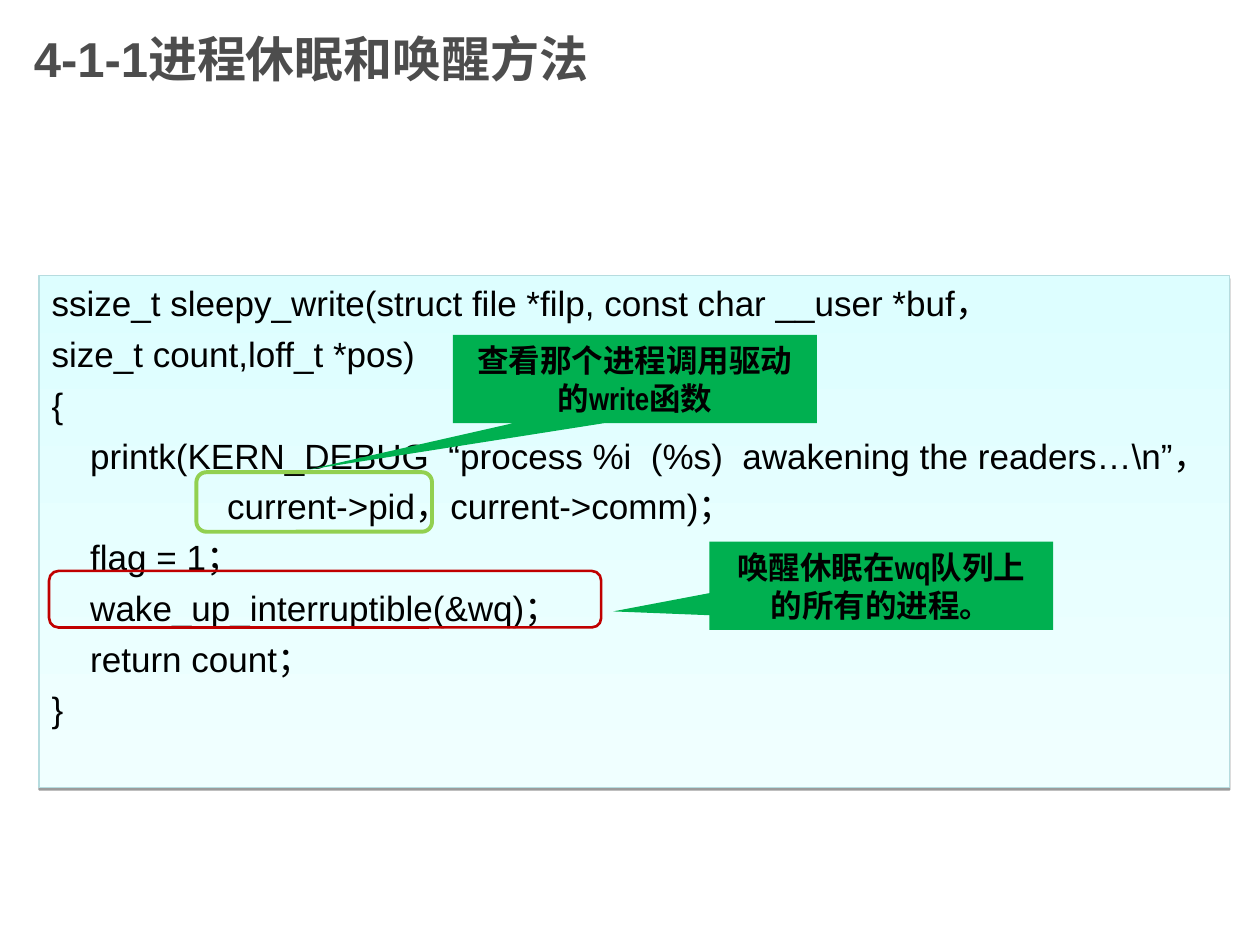
from lxml import etree
from pptx import Presentation
from pptx.dml.color import RGBColor
from pptx.enum.shapes import MSO_SHAPE
from pptx.enum.text import MSO_ANCHOR, PP_ALIGN
from pptx.oxml.ns import qn
from pptx.util import Cm, Pt

RECTANGLE = MSO_SHAPE.RECTANGLE
ROUNDED = MSO_SHAPE.ROUNDED_RECTANGLE
CALLOUT = MSO_SHAPE.RECTANGULAR_CALLOUT
LEFT, CENTER = PP_ALIGN.LEFT, PP_ALIGN.CENTER
TOP, MIDDLE = MSO_ANCHOR.TOP, MSO_ANCHOR.MIDDLE

COLORS = {
    "title": "4D4D4D", "text": "000000", "code_top": "DDFEFF",
    "code_bottom": "F0FFFF", "code_line": "B6DCDF", "callout": "00B050",
    "wake": "C00000", "pid": "92D050", "shadow": "000000",
}
TITLE = "4-1-1进程休眠和唤醒方法"
TITLE_PLACE = (0.43, 0, 19.05, 2.34)
CODE_PLACE = (0.79, 5.56, 24, 10.31)
BODY_INDENT, ARGUMENT_INDENT = 0.78, 3.54
CODE = [
    (0, "ssize_t sleepy_write(struct file *filp, const char __user *buf，"),
    (0, "size_t count,loff_t *pos)"),
    (0, "{"),
    (BODY_INDENT, "printk(KERN_DEBUG  “process %i  (%s)  awakening the readers…\\n”，"),
    (ARGUMENT_INDENT, "current->pid，current->comm)；"),
    (BODY_INDENT, "flag = 1；"),
    (BODY_INDENT, "wake_up_interruptible(&wq)；"),
    (BODY_INDENT, "return count；"),
    (0, "}"),
]
FRAMES = [
    ((0.99, 11.51, 11.13, 1.14), "wake", 1.5),
    ((3.96, 9.52, 4.75, 1.2), "pid", 2.25),
]
CALLOUTS = [
    ((9.13, 6.75, 7.34, 1.78), (-0.9, 1.03), "查看那个进程调用驱动的write函数"),
    ((14.3, 10.92, 6.93, 1.78), (-0.78, 0.29), "唤醒休眠在wq队列上的所有的进程。"),
]


def rgb(name):
    return RGBColor.from_string(COLORS[name])


def add_box(page, kind, place):
    box = page.shapes.add_shape(kind, *map(Cm, place))
    box.shadow.inherit = False
    return box


def format_para(para, align, font, size, color, bold=False, before=0):
    para.alignment = align
    para.space_before = Pt(before)
    for span in para.runs:
        span.font.name = font
        span.font.size = Pt(size)
        span.font.bold = bold
        span.font.color.rgb = rgb(color)


def add_shadow(box):
    effects = box._element.spPr.find(qn("a:effectLst"))
    shadow = etree.SubElement(effects, qn("a:outerShdw"), blurRad="0",
                              dist=str(Pt(1.6)), dir="5400000", rotWithShape="0")
    color = etree.SubElement(shadow, qn("a:srgbClr"), val=COLORS["shadow"])
    etree.SubElement(color, qn("a:alpha"), val="38000")


def add_title(page):
    title = page.shapes.title
    title.left, title.top, title.width, title.height = map(Cm, TITLE_PLACE)
    title.text_frame.text = TITLE
    title.text_frame.vertical_anchor = MIDDLE
    format_para(title.text_frame.paragraphs[0], LEFT, "Arial", 28, "title", True)


def add_code(page):
    box = add_box(page, RECTANGLE, CODE_PLACE)
    box.fill.gradient()
    box.fill.gradient_angle = 270
    for stop, name in zip(box.fill.gradient_stops, ("code_top", "code_bottom")):
        stop.color.rgb = rgb(name)
    box.line.color.rgb = rgb("code_line")
    box.line.width = Pt(0.75)
    add_shadow(box)
    frame = box.text_frame
    frame.word_wrap = False
    frame.vertical_anchor = TOP
    frame.text = "\n".join(text for _, text in CODE)
    for para, (indent, _) in zip(frame.paragraphs, CODE):
        format_para(para, LEFT, "Arial", 20, "text", before=5)
        para._p.get_or_add_pPr().set("marL", str(Cm(indent)))


def add_frame(page, place, color, width):
    box = add_box(page, ROUNDED, place)
    box.fill.background()
    box.line.color.rgb = rgb(color)
    box.line.width = Pt(width)


def add_callout(page, place, tip, text):
    box = add_box(page, CALLOUT, place)
    for index, value in enumerate(tip):
        box.adjustments[index] = value
    box.fill.solid()
    box.fill.fore_color.rgb = rgb("callout")
    box.line.fill.background()
    frame = box.text_frame
    frame.word_wrap = True
    frame.vertical_anchor = TOP
    frame.text = text
    format_para(frame.paragraphs[0], CENTER, "Arial Narrow", 18, "text", True, 11.2)


def main():
    deck = Presentation()
    deck.slide_width, deck.slide_height = Cm(25.4), Cm(19.05)
    page = deck.slides.add_slide(deck.slide_layouts[5])
    add_title(page)
    add_code(page)
    for frame in FRAMES:
        add_frame(page, *frame)
    for callout in CALLOUTS:
        add_callout(page, *callout)
    deck.save("out.pptx")


if __name__ == "__main__":
    main()
